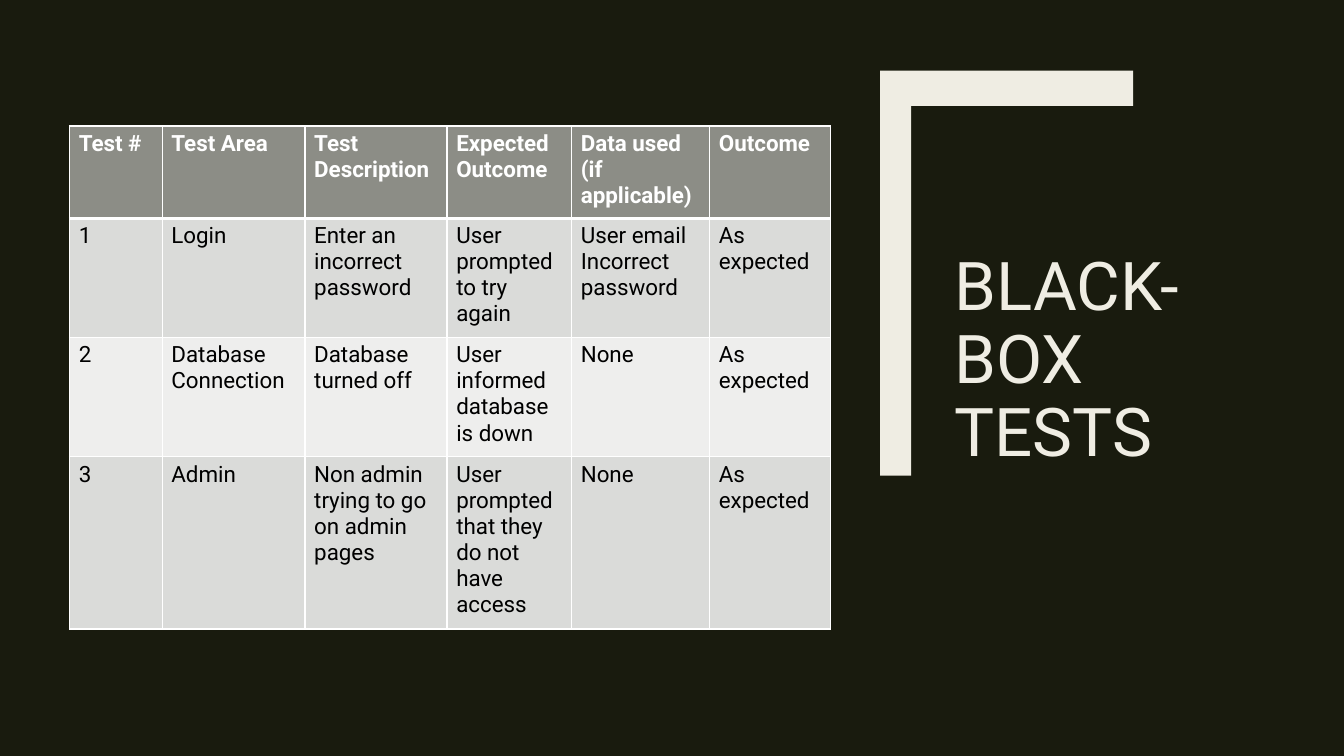
from dataclasses import dataclass

from lxml import etree
from pptx import Presentation
from pptx.dml.color import RGBColor
from pptx.enum import text as t
from pptx.oxml import ns
from pptx.util import Pt

TITLE = "BLACK-BOX TESTS"
HEADINGS = ["Test #", "Test Area", "Test Description", "Expected Outcome",
            "Data used (if applicable)", "Outcome"]
TESTS = [
    ["1", "Login", "Enter an incorrect password", "User prompted to try again",
     "User email\nIncorrect password", "As expected"],
    ["2", "Database Connection", "Database turned off",
     "User informed database is down", "None", "As expected"],
    ["3", "Admin", "Non admin trying to go on admin pages",
     "User prompted that they do not have access", "None", "As expected"],
]

SLIDE_SIZE = (960, 540)
TITLE_BOX = (674.6, 103.7, 249.8, 236.1)
TABLE_ORIGIN = (49.7, 90)
COLUMN_WIDTHS = [66.2, 102, 101.5, 89, 98.6, 86.4]
ROW_HEIGHTS = [66, 85.2, 85.2, 123]
BRACKET_BOX = (628.6, 50.4, 180.7, 289.4)
BRACKET_STEM, BRACKET_ARM = 22.3, 25.2


@dataclass(frozen=True)
class Theme:
    font: str = "Roboto"
    title_size: float = 48
    table_size: float = 16
    background: str = "191B0E"
    accent: str = "EFEDE3"
    heading_fill: str = "8C8D86"
    band_fills: tuple = ("DADBD9", "EEEEED")
    heading_text: str = "FFFFFF"
    body_text: str = "000000"
    border: str = "FFFFFF"
    thin: float = 1
    thick: float = 3


THEME = Theme()


def paint(fill, color):
    fill.solid()
    fill.fore_color.rgb = RGBColor.from_string(color)


def add_run(paragraph, words, size, color, bold=False):
    run = paragraph.add_run()
    run.text = words
    run.font.name = THEME.font
    run.font.size = Pt(size)
    run.font.bold = bold
    run.font.color.rgb = RGBColor.from_string(color)


def add_title(slide):
    title = slide.shapes.title
    title.left, title.top, title.width, title.height = map(Pt, TITLE_BOX)
    frame = title.text_frame
    frame.word_wrap = True
    frame.auto_size = t.MSO_AUTO_SIZE.NONE
    frame.vertical_anchor = t.MSO_ANCHOR.BOTTOM
    paragraph = frame.paragraphs[0]
    paragraph.alignment = t.PP_ALIGN.LEFT
    paragraph.line_spacing = 0.9
    add_run(paragraph, TITLE, THEME.title_size, THEME.accent)


def add_bracket(slide):
    left, top, width, height = BRACKET_BOX
    right, bottom = left + width, top + height
    inner_x, inner_y = left + BRACKET_STEM, top + BRACKET_ARM
    outline = [(left, bottom), (left, top), (right, top), (right, inner_y),
               (inner_x, inner_y), (inner_x, bottom)]
    corners = [(Pt(x), Pt(y)) for x, y in outline]
    builder = slide.shapes.build_freeform(*corners[0])
    builder.add_line_segments(corners[1:], close=True)
    bracket = builder.convert_to_shape()
    bracket.shadow.inherit = False
    paint(bracket.fill, THEME.accent)
    bracket.line.fill.background()


def set_borders(cell, widths):
    """Draw cell borders from a dict of side letter (L, R, T, B) to width."""
    properties = cell._tc.get_or_add_tcPr()
    for position, (side, width) in enumerate(widths.items()):
        line = etree.Element(ns.qn(f"a:ln{side}"), w=str(Pt(width)))
        solid = etree.SubElement(line, ns.qn("a:solidFill"))
        etree.SubElement(solid, ns.qn("a:srgbClr"), val=THEME.border)
        properties.insert(position, line)


def fill_cell(cell, words, row):
    heading = row == 0
    paint(cell.fill, THEME.heading_fill if heading
          else THEME.band_fills[(row - 1) % len(THEME.band_fills)])
    cell.margin_left = cell.margin_right = Pt(6.6)
    cell.margin_top = cell.margin_bottom = Pt(3.3)
    frame = cell.text_frame
    for index, line in enumerate(words.split("\n")):
        paragraph = frame.add_paragraph() if index else frame.paragraphs[0]
        add_run(paragraph, line, THEME.table_size,
                THEME.heading_text if heading else THEME.body_text, heading)
    set_borders(cell, {"L": THEME.thin, "R": THEME.thin,
                       "T": THEME.thick if row == 1 else THEME.thin,
                       "B": THEME.thick if heading else THEME.thin})


def add_test_table(slide):
    rows = [HEADINGS, *TESTS]
    box = (*TABLE_ORIGIN, sum(COLUMN_WIDTHS), sum(ROW_HEIGHTS))
    table = slide.shapes.add_table(len(rows), len(HEADINGS), *map(Pt, box)).table
    for column, width in zip(table.columns, COLUMN_WIDTHS):
        column.width = Pt(width)
    for row, height in zip(table.rows, ROW_HEIGHTS):
        row.height = Pt(height)
    for r, entries in enumerate(rows):
        for c, words in enumerate(entries):
            fill_cell(table.cell(r, c), words, r)


def main():
    deck = Presentation()
    deck.slide_width, deck.slide_height = map(Pt, SLIDE_SIZE)
    slide = deck.slides.add_slide(deck.slide_layouts[5])
    paint(slide.background.fill, THEME.background)
    add_bracket(slide)
    add_title(slide)
    add_test_table(slide)
    deck.save("out.pptx")


if __name__ == "__main__":
    main()
